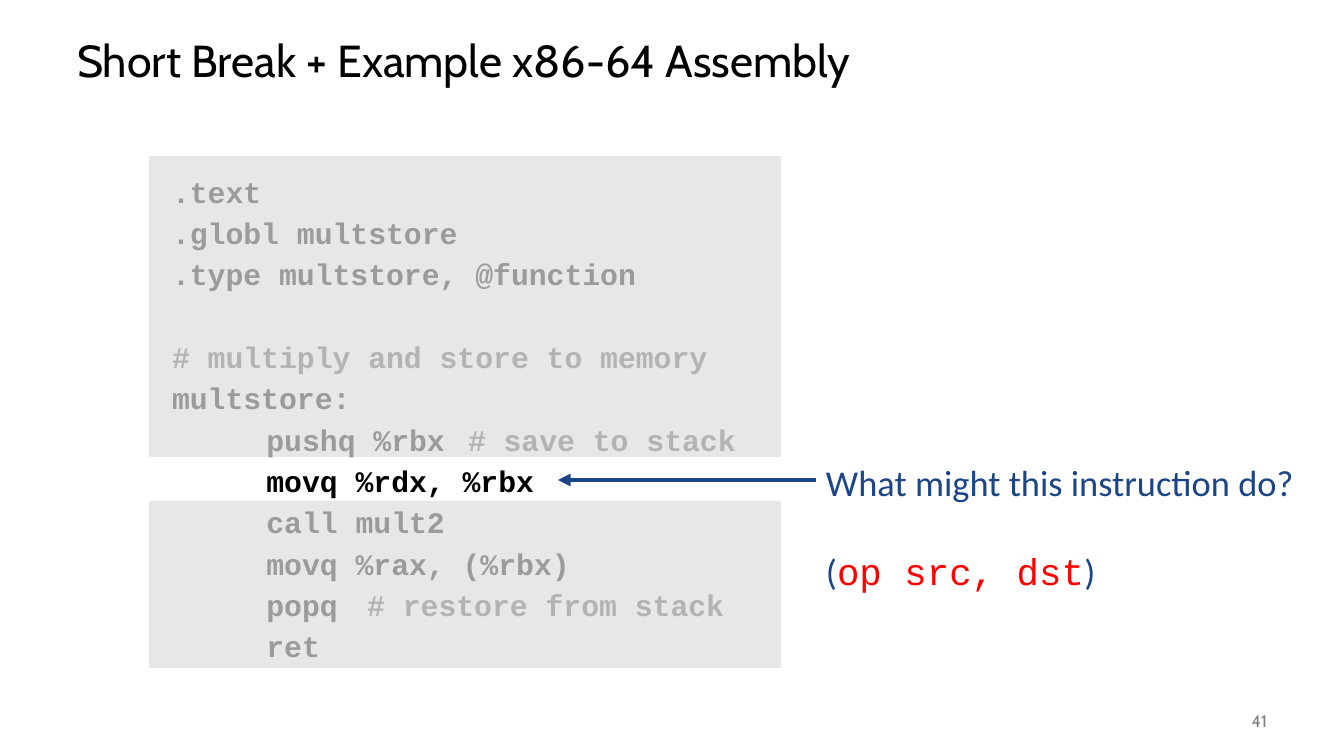
from dataclasses import dataclass

from lxml.etree import SubElement
from pptx import Presentation
from pptx.dml.color import RGBColor
from pptx.enum.shapes import MSO_CONNECTOR as Connector, MSO_SHAPE as Preset
from pptx.enum.text import MSO_ANCHOR as Anchor, MSO_AUTO_SIZE as AutoSize, PP_ALIGN as Align
from pptx.oxml.ns import qn
from pptx.slide import Slide
from pptx.text.text import TextFrame
from pptx.util import Emu, Pt

BLACK = RGBColor(0x00, 0x00, 0x00)
COMMENT = RGBColor(0x52, 0x52, 0x52)
NUMBER = RGBColor(0x80, 0x80, 0x80)
NAVY = RGBColor(0x1C, 0x45, 0x87)
RED = RGBColor(0xFF, 0x00, 0x00)
VEIL = RGBColor(0xDD, 0xDD, 0xDD)

TITLE_FONT = "Cabin"
BODY_FONT = "Calibri"
CODE_FONT = "Courier New"
LINE_HEIGHT = Pt(29.5)
QUESTION_GAP = Pt(31.7)
VEIL_OPACITY = "70000"


def px(length: int) -> Emu:
    return Emu(round(length * 914400 / 100.8))


@dataclass(frozen=True)
class Area:
    left: int
    top: int
    width: int
    height: int

    def lengths(self) -> tuple[Emu, ...]:
        return px(self.left), px(self.top), px(self.width), px(self.height)


@dataclass(frozen=True)
class Span:
    text: str
    size: float
    font: str
    color: RGBColor
    bold: bool = False


@dataclass(frozen=True)
class CodeLine:
    code: str = ""
    comment: str = ""
    level: int = 0
    gap_before: bool = False


CODE_LINES = (
    CodeLine(".text"),
    CodeLine(".globl multstore"),
    CodeLine(".type multstore, @function"),
    CodeLine(comment="# multiply and store to memory", gap_before=True),
    CodeLine("multstore:"),
    CodeLine("\tpushq %rbx\t", "# save to stack", level=1),
    CodeLine("\tmovq %rdx, %rbx", level=1),
    CodeLine("\tcall mult2", level=1),
    CodeLine("\tmovq %rax, (%rbx)", level=1),
    CodeLine("\tpopq\t", "# restore from stack", level=1),
    CodeLine("\tret", level=1),
)
INDENTS = (38, 82)
VEILS = (Area(149, 156, 632, 301), Area(149, 501, 632, 167))


def add_spans(para, *spans: Span) -> None:
    for span in spans:
        run = para.add_run()
        run.text = span.text
        run.font.size = Pt(span.size)
        run.font.name = span.font
        run.font.color.rgb = span.color
        run.font.bold = span.bold


def add_box(slide: Slide, area: Area) -> TextFrame:
    frame = slide.shapes.add_textbox(*area.lengths()).text_frame
    frame.word_wrap = True
    frame.margin_left = frame.margin_right = px(10)
    frame.margin_top = frame.margin_bottom = px(10)
    return frame


def add_title(slide: Slide) -> None:
    title = slide.shapes.title
    title.left, title.top, title.width, title.height = Area(67, 25, 1210, 76).lengths()
    frame = title.text_frame
    frame.auto_size = AutoSize.NONE
    frame.vertical_anchor = Anchor.MIDDLE
    para = frame.paragraphs[0]
    para.alignment = Align.LEFT
    para.line_spacing = 0.9
    add_spans(para, Span("Short Break + Example x86-64 Assembly", 32, TITLE_FONT, BLACK))


def add_page_number(slide: Slide) -> None:
    frame = add_box(slide, Area(1176, 701, 101, 40))
    frame.vertical_anchor = Anchor.MIDDLE
    para = frame.paragraphs[0]
    para.alignment = Align.RIGHT
    add_spans(para, Span("41", 12, TITLE_FONT, NUMBER))


def add_code(slide: Slide) -> None:
    frame = add_box(slide, Area(124, 158, 1002, 554))
    for index, line in enumerate(CODE_LINES):
        para = frame.add_paragraph() if index else frame.paragraphs[0]
        para.level = line.level
        para.line_spacing = LINE_HEIGHT
        if line.gap_before:
            para.space_before = LINE_HEIGHT
        properties = para._p.get_or_add_pPr()
        properties.set("marL", str(px(INDENTS[line.level])))
        properties.set("indent", "0")
        properties.set("defTabSz", "457200")
        parts = ((line.code, BLACK), (line.comment, COMMENT))
        add_spans(para, *(Span(text, 21.3, CODE_FONT, color, True) for text, color in parts if text))


def add_question(slide: Slide) -> None:
    frame = add_box(slide, Area(816, 450, 496, 104))
    add_spans(frame.paragraphs[0], Span("What might this instruction do?", 26, BODY_FONT, NAVY))
    para = frame.add_paragraph()
    para.space_before = QUESTION_GAP
    add_spans(
        para,
        Span("(", 26, BODY_FONT, NAVY),
        Span("op src, dst", 26.7, CODE_FONT, RED),
        Span(")", 26, BODY_FONT, NAVY),
    )


def add_veil(slide: Slide, area: Area) -> None:
    veil = slide.shapes.add_shape(Preset.RECTANGLE, *area.lengths())
    veil.shadow.inherit = False
    veil.fill.solid()
    veil.fill.fore_color.rgb = VEIL
    veil.line.fill.background()
    color = veil._element.spPr.find(qn("a:solidFill")).find(qn("a:srgbClr"))
    SubElement(color, qn("a:alpha")).set("val", VEIL_OPACITY)


def add_arrow(slide: Slide) -> None:
    arrow = slide.shapes.add_connector(Connector.STRAIGHT, px(816), px(480), px(558), px(480))
    arrow.line.color.rgb = NAVY
    arrow.line.width = Pt(3)
    SubElement(arrow.line._get_or_add_ln(), qn("a:tailEnd")).set("type", "triangle")
    SubElement(arrow._element.spPr, qn("a:effectLst"))


def main() -> None:
    deck = Presentation()
    deck.slide_width, deck.slide_height = px(1344), px(756)
    page = deck.slides.add_slide(deck.slide_layouts[5])
    add_title(page)
    add_page_number(page)
    add_code(page)
    add_question(page)
    for area in VEILS:
        add_veil(page, area)
    add_arrow(page)
    deck.save("out.pptx")


if __name__ == "__main__":
    main()
